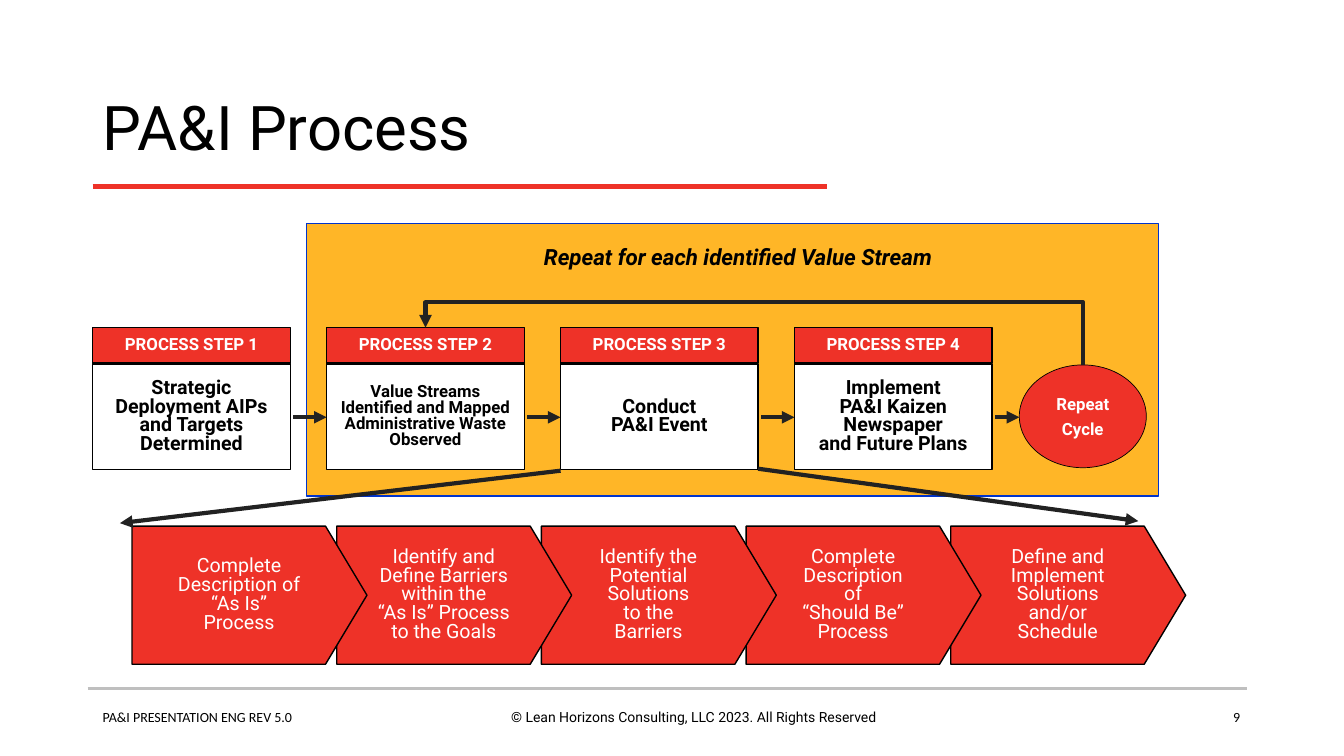
from lxml.etree import SubElement
from pptx import Presentation
from pptx.dml.color import RGBColor
from pptx.enum.shapes import MSO_CONNECTOR, MSO_SHAPE
from pptx.enum.text import MSO_ANCHOR, MSO_AUTO_SIZE, PP_ALIGN
from pptx.oxml.ns import qn
from pptx.util import Inches, Pt

# Content
TITLE = "PA&I Process"
BANNER = "Repeat for each identified Value Stream"
STEPS = [  # text, size, wraps
    ("Strategic\nDeployment AIPs\nand Targets\nDetermined", 14, False),
    ("Value Streams Identified and Mapped Administrative Waste Observed", 12, True),
    ("Conduct\nPA&I Event", 14, False),
    ("Implement\nPA&I Kaizen\nNewspaper\nand Future Plans", 14, False),
]
CYCLE = ["Repeat", "Cycle"]
STAGES = [
    "Complete\nDescription of\n“As Is”\nProcess",
    "Identify and\nDefine Barriers\nwithin the\n“As Is” Process\nto the Goals",
    "Identify the\nPotential\nSolutions\nto the\nBarriers",
    "Complete\nDescription\nof\n“Should Be”\nProcess",
    "Define and\nImplement\nSolutions\nand/or\nSchedule",
]
FOOTERS = [  # text, left, width, font, alignment
    ("PA&I PRESENTATION ENG REV 5.0", 0.92, 4.56, "Calibri", PP_ALIGN.LEFT),
    ("© Lean Horizons Consulting, LLC 2023. All Rights Reserved",
     4.6, 4.56, "Roboto", PP_ALIGN.CENTER),
    ("9", 9.4, 3, "Calibri", PP_ALIGN.RIGHT),
]

# Colours
RED = RGBColor(0xEE, 0x32, 0x28)
AMBER = RGBColor(0xFF, 0xB6, 0x27)
BLUE = RGBColor(0x00, 0x33, 0xCC)
BLACK = RGBColor(0, 0, 0)
WHITE = RGBColor(0xFF, 0xFF, 0xFF)
CHARCOAL = RGBColor(0x22, 0x22, 0x22)
GREY = RGBColor(0xBF, 0xBF, 0xBF)

# Grid, in inches
MARGIN = 0.92
STEP_PITCH, STEP_WIDTH = 2.32, 1.96
HEAD_TOP, HEAD_HEIGHT = 3.25, 0.35
BODY_TOP, BODY_HEIGHT = 3.61, 1.05
STAGE_LEFT, STAGE_PITCH, STAGE_TOP = 1.31, 2.03, 5.22
STAGE_WIDTH, STAGE_HEIGHT = 2.33, 1.37
CYCLE_LEFT, CYCLE_TOP, CYCLE_WIDTH, CYCLE_HEIGHT = 10.11, 3.62, 1.26, 1.02
ARROW_Y, LOOP_TOP = 4.14, 3.0

presentation = Presentation()
presentation.slide_width = Inches(13.33)
presentation.slide_height = Inches(7.5)
slide = presentation.slides.add_slide(presentation.slide_layouts[5])


def write(shape, lines, size, color, bold=False, italic=False, font="Roboto",
          alignment=PP_ALIGN.CENTER, spacing=None, wrap=False, anchor=MSO_ANCHOR.MIDDLE):
    frame = shape.text_frame
    frame.word_wrap = wrap
    frame.auto_size = MSO_AUTO_SIZE.NONE
    frame.vertical_anchor = anchor
    for index, line in enumerate(lines):
        paragraph = frame.add_paragraph() if index else frame.paragraphs[0]
        paragraph.text = line
        paragraph.alignment = alignment
        if spacing:
            paragraph.line_spacing = spacing
        if index:
            paragraph.space_before = Pt(0.3 * size)
        for run in paragraph.runs:
            run.font.name, run.font.size = font, Pt(size)
            run.font.bold, run.font.italic = bold, italic
            run.font.color.rgb = color


def add_block(kind, left, top, width, height, fill, line=BLACK, line_width=1):
    shape = slide.shapes.add_shape(
        kind, Inches(left), Inches(top), Inches(width), Inches(height))
    shape.shadow.inherit = False
    shape.fill.solid()
    shape.fill.fore_color.rgb = fill
    if line is None:
        shape.line.fill.background()
    else:
        shape.line.color.rgb = line
        shape.line.width = Pt(line_width)
    return shape


def add_line(start, end, color=CHARCOAL, width=3, arrow=True, kind=MSO_CONNECTOR.STRAIGHT):
    connector = slide.shapes.add_connector(
        kind, *(Inches(value) for value in (*start, *end)))
    connector.line.color.rgb = color
    connector.line.width = Pt(width)
    if arrow:
        SubElement(connector.line._get_or_add_ln(), qn("a:tailEnd"), type="triangle")
    SubElement(connector._element.spPr, qn("a:effectLst"))
    return connector


# Title, rules and footers
title = slide.shapes.title
title.left, title.top = Inches(MARGIN), Inches(0.74)
title.width, title.height = Inches(11.5), Inches(1.1)
write(title, [TITLE], 44, BLACK, alignment=PP_ALIGN.LEFT, spacing=0.9, wrap=True)
add_line((0.87, 6.83), (12.37, 6.83), GREY, 2, arrow=False)
add_line((MARGIN, 1.85), (8.2, 1.85), RED, 3, arrow=False)
for text, left, width, font, alignment in FOOTERS:
    box = slide.shapes.add_textbox(Inches(left), Inches(6.98), Inches(width), Inches(0.4))
    write(box, [text], 10, BLACK, font=font, alignment=alignment, wrap=True,
          anchor=MSO_ANCHOR.TOP)

# Repeat area and cycle
add_block(MSO_SHAPE.RECTANGLE, 3.04, 2.22, 8.45, 2.7, AMBER, BLUE)
banner = add_block(MSO_SHAPE.RECTANGLE, 5.24, 2.36, 4.16, 0.37, AMBER, None)
write(banner, [BANNER], 16, BLACK, bold=True, italic=True)
cycle = add_block(MSO_SHAPE.OVAL, CYCLE_LEFT, CYCLE_TOP, CYCLE_WIDTH, CYCLE_HEIGHT,
                  RED, line_width=0.5)
write(cycle, CYCLE, 12, WHITE, bold=True)

# Process steps, each with an arrow to the next
step_lefts = [MARGIN + STEP_PITCH * index for index in range(len(STEPS))]
targets = step_lefts[1:] + [CYCLE_LEFT]
for number, (left, target, (text, size, wrap)) in enumerate(
        zip(step_lefts, targets, STEPS), 1):
    body = add_block(MSO_SHAPE.RECTANGLE, left, BODY_TOP, STEP_WIDTH, BODY_HEIGHT, WHITE)
    write(body, [text], size, BLACK, bold=True, spacing=0.8, wrap=wrap)
    head = add_block(MSO_SHAPE.RECTANGLE, left, HEAD_TOP, STEP_WIDTH, HEAD_HEIGHT, RED)
    write(head, [f"PROCESS STEP {number}"], 12, WHITE, bold=True, spacing=0.8)
    add_line((left + STEP_WIDTH + 0.03, ARROW_Y), (target, ARROW_Y))

# Loop from the cycle back to step 2: an elbow turned a quarter
loop_start = CYCLE_LEFT + CYCLE_WIDTH / 2
loop_end = step_lefts[1] + STEP_WIDTH / 2
rise, span = CYCLE_TOP - HEAD_TOP, loop_start - loop_end
center_x, center_y = (loop_start + loop_end) / 2, (CYCLE_TOP + HEAD_TOP) / 2
loop = add_line((center_x - rise / 2, center_y + span / 2),
                (center_x + rise / 2, center_y - span / 2), kind=MSO_CONNECTOR.ELBOW)
properties = loop._element.spPr
properties.find(qn("a:xfrm")).set("rot", str(270 * 60000))
bend = round((CYCLE_TOP - LOOP_TOP) / rise * 100000)
SubElement(properties.find(qn("a:prstGeom")).find(qn("a:avLst")), qn("a:gd"),
           name="adj1", fmla=f"val {bend}")

# Stages of step 3, last one at the back
for index, text in reversed(list(enumerate(STAGES))):
    stage = add_block(MSO_SHAPE.PENTAGON, STAGE_LEFT + STAGE_PITCH * index, STAGE_TOP,
                      STAGE_WIDTH, STAGE_HEIGHT, RED)
    stage.adjustments[0] = 0.3
    write(stage, [text], 14, WHITE, spacing=0.8)
add_line((step_lefts[2], 4.67), (1.19, 5.19))
add_line((step_lefts[2] + STEP_WIDTH, 4.65), (11.29, 5.17))

presentation.save("out.pptx")
